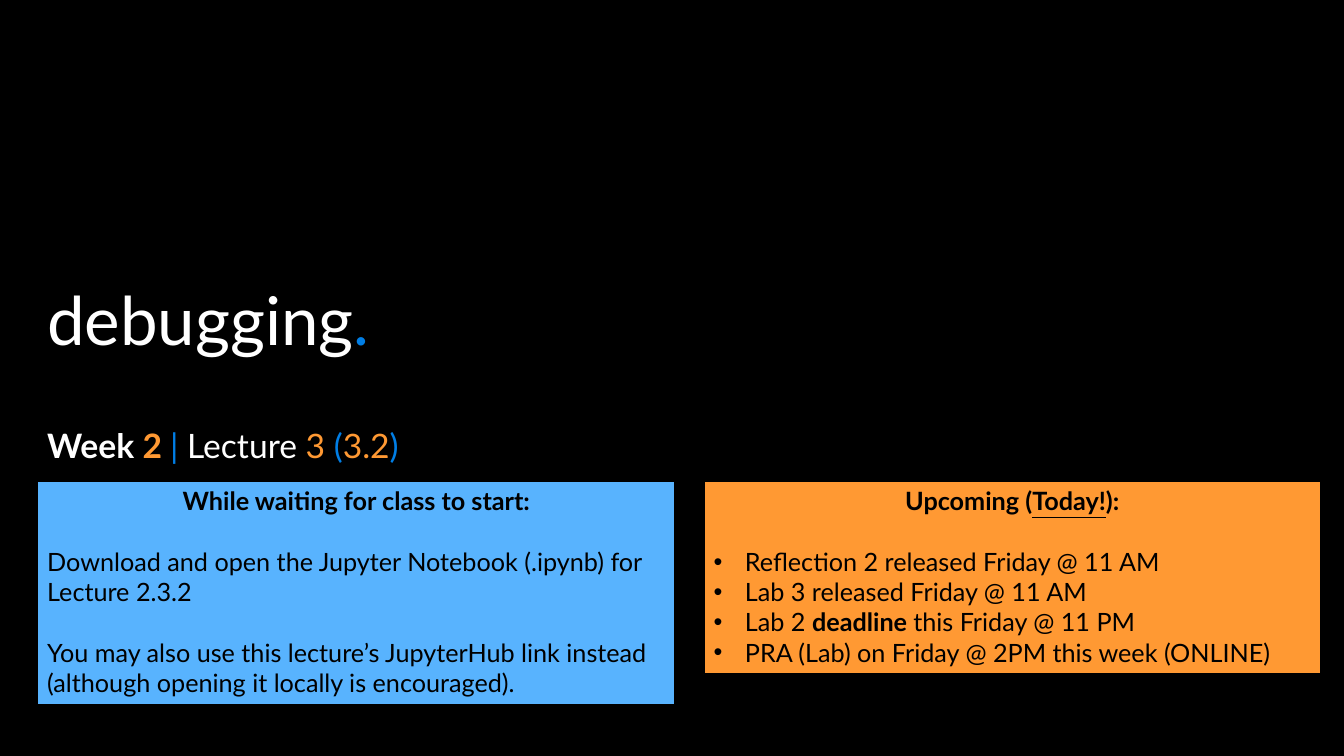
from lxml import etree
from pptx import Presentation
from pptx.dml.color import RGBColor
from pptx.enum.shapes import MSO_SHAPE
from pptx.enum.text import MSO_ANCHOR, PP_ALIGN
from pptx.oxml.ns import qn
from pptx.util import Inches, Pt

# Content: a paragraph is a list of runs (text, colour, style)
WHITE, BLACK, BLUE, ORANGE, SKY = "FFFFFF", "000000", "017EE5", "FF9933", "58B3FE"
TITLE = [("debugging", WHITE, ""), (".", BLUE, "")]
SUBTITLE = [
    ("Week ", WHITE, "bold"), ("2 ", ORANGE, "bold"), ("|", BLUE, ""),
    (" Lecture ", WHITE, ""), ("3 ", ORANGE, ""), ("(", BLUE, ""),
    ("3.2", ORANGE, ""), (")", BLUE, ""),
]
UPCOMING_HEAD = [("Upcoming (", BLACK, "bold"), ("Today!", BLACK, "bold underline"),
                 ("):", BLACK, "bold")]
UPCOMING = [
    [("Reflection 2 released Friday @ 11 AM", BLACK, "")],
    [("Lab 3 released Friday @ 11 AM", BLACK, "")],
    [("Lab 2 ", BLACK, ""), ("deadline ", BLACK, "bold"), ("this Friday @ 11 PM", BLACK, "")],
    [("PRA (Lab) on Friday @ 2PM this week (ONLINE)", BLACK, "")],
]
WAITING_HEAD = [("While waiting for class to start:", BLACK, "bold")]
WAITING = [
    [("Download and open the Jupyter Notebook (.ipynb) for Lecture 2.3.2", BLACK, "")],
    [("You may also use this lecture’s JupyterHub link instead "
      "(although opening it locally is encouraged).", BLACK, "")],
]

# Layout in inches
WIDTH, HEIGHT = 13.33, 7.5
LEFT, PANEL_TOP = 0.37, 4.77
TEXT_WIDTH = 12.46
BODY_SIZE = 18
LINE_GAP = BODY_SIZE * 1.2  # one line of body text, in points


def color(value):
    return RGBColor.from_string(value)


def write(frame, runs, size=BODY_SIZE, align=PP_ALIGN.LEFT, spacing=None, before=0, bullet=False):
    """Write one paragraph, reusing the empty first one."""
    first = frame.paragraphs[0]
    paragraph = frame.add_paragraph() if first.runs else first
    paragraph.alignment = align
    if spacing:
        paragraph.line_spacing = spacing
    if before:
        paragraph.space_before = Pt(before)
    if bullet:
        properties = paragraph._p.get_or_add_pPr()
        properties.set("marL", str(Inches(0.31)))
        properties.set("indent", str(-Inches(0.31)))
        etree.SubElement(properties, qn("a:buFont")).set("typeface", "Arial")
        etree.SubElement(properties, qn("a:buChar")).set("char", "•")
    for text, hue, style in runs:
        run = paragraph.add_run()
        run.text = text
        run.font.name = "Lato"
        run.font.size = Pt(size)
        run.font.color.rgb = color(hue)
        run.font.bold = "bold" in style
        run.font.underline = "underline" in style


def add_heading(slide, runs, top, height, size, anchor):
    box = slide.shapes.add_textbox(*map(Inches, (LEFT, top, TEXT_WIDTH, height)))
    box.text_frame.word_wrap = True
    box.text_frame.vertical_anchor = anchor
    write(box.text_frame, runs, size=size, spacing=0.9)


def add_panel(slide, left, width, height, fill, head, body, bullet):
    panel = slide.shapes.add_shape(
        MSO_SHAPE.RECTANGLE, *map(Inches, (left, PANEL_TOP, width, height)))
    panel.shadow.inherit = False
    panel.fill.solid()
    panel.fill.fore_color.rgb = color(fill)
    panel.line.color.rgb = color(BLACK)
    panel.line.width = Pt(1.5)
    frame = panel.text_frame
    frame.word_wrap = True
    frame.vertical_anchor = MSO_ANCHOR.TOP
    write(frame, head, align=PP_ALIGN.CENTER)
    for index, runs in enumerate(body):
        # Bullets stay together; plain paragraphs are each set apart
        gap = 0 if bullet and index else LINE_GAP
        write(frame, runs, before=gap, bullet=bullet)


def main():
    presentation = Presentation()
    presentation.slide_width, presentation.slide_height = Inches(WIDTH), Inches(HEIGHT)
    slide = presentation.slides.add_slide(presentation.slide_layouts[6])
    slide.background.fill.solid()
    slide.background.fill.fore_color.rgb = color(BLACK)

    # Title and subtitle
    add_heading(slide, TITLE, 2.64, 0.98, 48, MSO_ANCHOR.BOTTOM)
    add_heading(slide, SUBTITLE, 4.21, 1.81, 24, MSO_ANCHOR.TOP)

    # Notice panels
    add_panel(slide, 6.98, 6.12, 1.92, ORANGE, UPCOMING_HEAD, UPCOMING, bullet=True)
    add_panel(slide, LEFT, 6.33, 2.22, SKY, WAITING_HEAD, WAITING, bullet=False)
    presentation.save("out.pptx")


if __name__ == "__main__":
    main()
